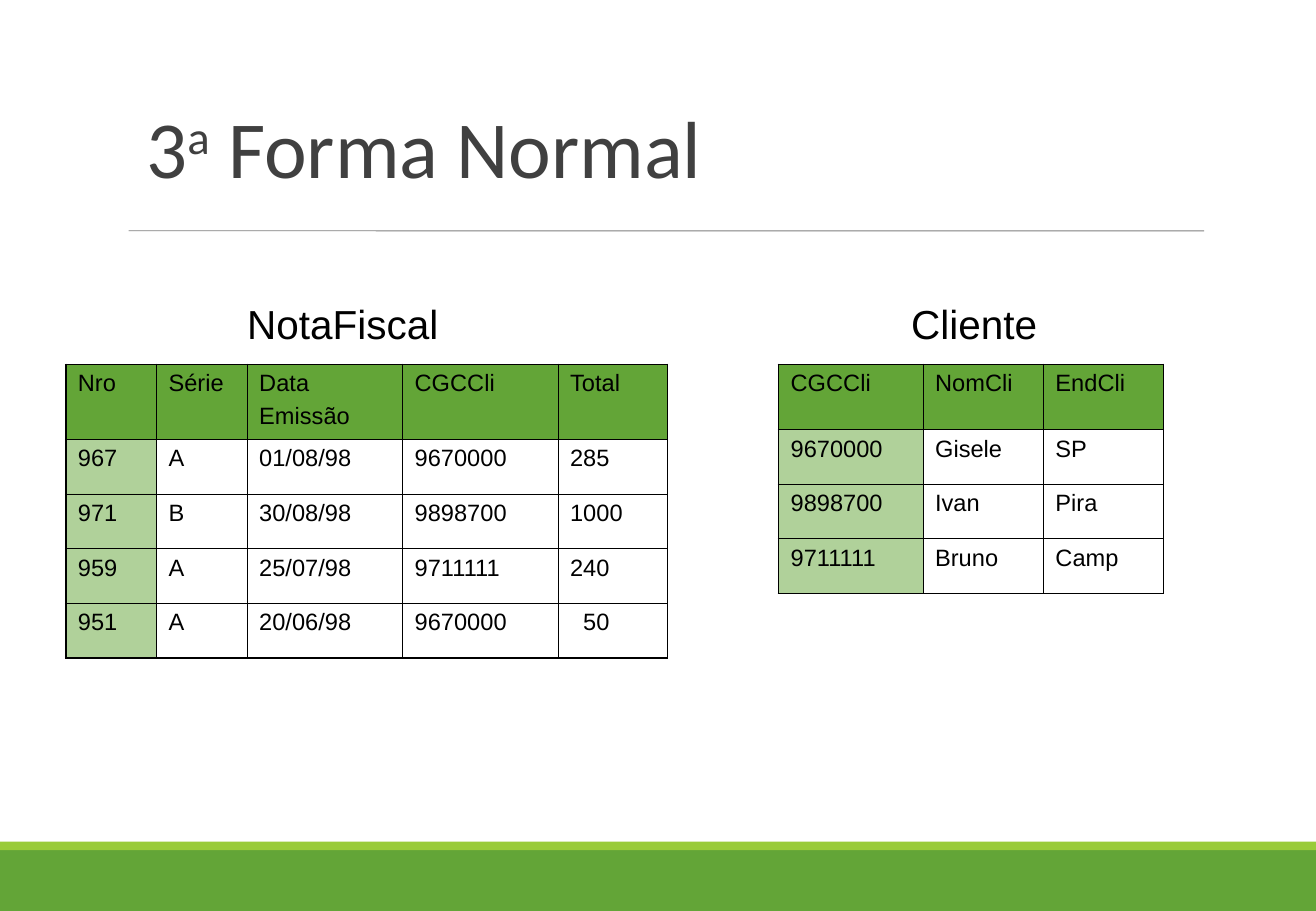
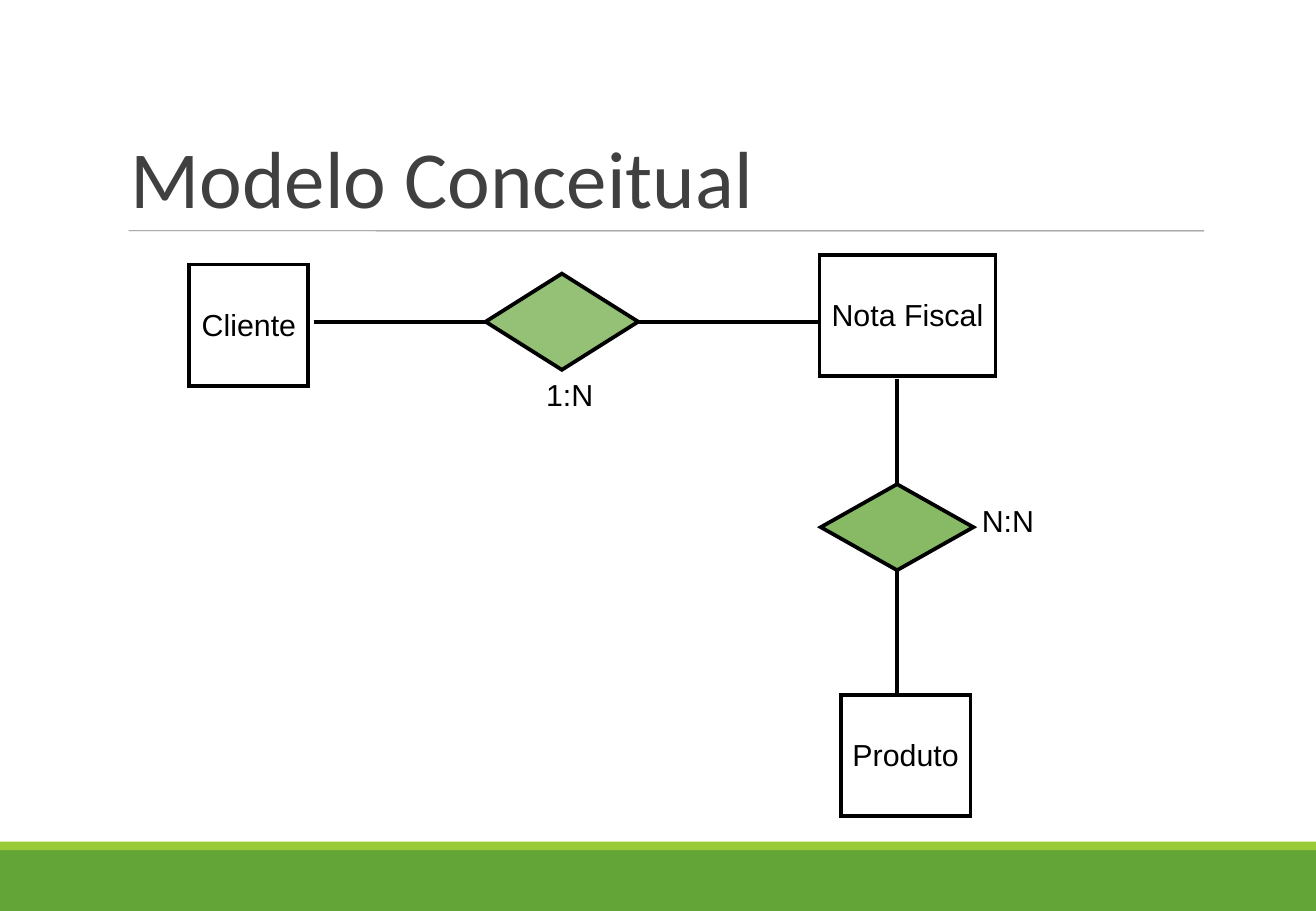
from pptx import Presentation
from pptx import util as u
from pptx.dml.color import RGBColor
from pptx.enum import shapes, text
from pptx.oxml import ns
from lxml import etree

Pt = u.Pt
WIDE, HIGH = 780.48, 540
HUES = {"green": "63A537", "lime": "99CB38", "rule": "7F7F7F",
        "title": "404040", "ink": "000000"}
THICK, THIN = 1.08, 0.45

BILLS = [
    ["Nro", "Série", "Data\nEmissão", "CGCCli", "Total"],
    ["967", "A", "01/08/98", "9670000", "285"],
    ["971", "B", "30/08/98", "9898700", "1000"],
    ["959", "A", "25/07/98", "9711111", "240"],
    ["951", "A", "20/06/98", "9670000", "50"],
]
CLIENTS = [
    ["CGCCli", "NomCli", "EndCli"],
    ["9670000", "Gisele", "SP"],
    ["9898700", "Ivan", "Pira"],
    ["9711111", "Bruno", "Camp"],
]


def tint(name):
    return RGBColor.from_string(HUES[name])


def style(font, size, name="ink", face="Arial"):
    font.size, font.name = Pt(size), face
    font.color.rgb = tint(name)


def paint(fill, node, name, alpha=100):
    fill.solid()
    fill.fore_color.rgb = tint(name)
    if alpha < 100:
        color = node.find(ns.qn("a:solidFill"))[0]
        etree.SubElement(color, ns.qn("a:alpha"), val=str(alpha * 1000))


def shape(slide, kind, box, fill=None, alpha=100, line=0):
    item = slide.shapes.add_shape(kind, *map(Pt, box))
    item.shadow.inherit = False
    if fill:
        paint(item.fill, item._element.spPr, fill, alpha)
    else:
        item.fill.background()
    if line:
        item.line.color.rgb, item.line.width = tint("ink"), Pt(line)
        edge = item._element.spPr.find(ns.qn("a:ln"))
        etree.SubElement(edge, ns.qn("a:miter"), lim="800000")
    else:
        item.line.fill.background()
    return item


def link(slide, ends, name="ink", width=2.25):
    line = slide.shapes.add_connector(
        shapes.MSO_CONNECTOR.STRAIGHT, *map(Pt, ends))
    line.line.color.rgb, line.line.width = tint(name), Pt(width)
    etree.SubElement(line._element.spPr, ns.qn("a:effectLst"))


def write(frame, words, size, wrap=False):
    frame.word_wrap = wrap
    frame.vertical_anchor = text.MSO_ANCHOR.TOP
    para = frame.paragraphs[0]
    para.text, para.alignment = words, text.PP_ALIGN.CENTER
    style(para.font, size)


def label(slide, box, words, size):
    item = slide.shapes.add_textbox(*map(Pt, box))
    write(item.text_frame, words, size, True)


def start(deck, box, parts):
    slide = deck.slides.add_slide(deck.slide_layouts[5])
    rect = shapes.MSO_SHAPE.RECTANGLE
    shape(slide, rect, (0, 504, WIDE, 36), "green")
    shape(slide, rect, (0, 498.8, WIDE, 5.2), "lime")
    link(slide, (76.3, 136.8, 714.2, 136.9), "rule", 0.5)
    title = slide.shapes.title
    title.left, title.top, title.width, title.height = map(Pt, box)
    frame = title.text_frame
    frame.word_wrap = True
    frame.auto_size = text.MSO_AUTO_SIZE.NONE
    frame.vertical_anchor = text.MSO_ANCHOR.BOTTOM
    para = frame.paragraphs[0]
    para.alignment, para.line_spacing = text.PP_ALIGN.LEFT, 0.85
    style(para.font, 48, "title", "Calibri")
    for words, raised in parts:
        run = para.add_run()
        run.text = words
        if raised:
            run._r.get_or_add_rPr().set("baseline", "30000")
    return slide


def border(cell, sides):
    props = cell._tc.get_or_add_tcPr()
    for side, width in sides.items():
        line = etree.SubElement(props, ns.qn("a:ln" + side), w=str(Pt(width)))
        fill = etree.SubElement(line, ns.qn("a:solidFill"))
        etree.SubElement(fill, ns.qn("a:srgbClr"), val=HUES["ink"])


def grid(slide, left, top, cols, head, rows):
    depth, span = len(rows), len(cols)
    tall = [head] + [32.4] * (depth - 1)
    table = slide.shapes.add_table(
        depth, span, *map(Pt, (left, top, sum(cols), sum(tall)))).table
    for col, width in zip(table.columns, cols):
        col.width = Pt(width)
    for row, height in zip(table.rows, tall):
        row.height = Pt(height)
    for r, row in enumerate(rows):
        for c, words in enumerate(row):
            cell = table.cell(r, c)
            edges = {"L": c == 0, "R": c == span - 1,
                     "T": r == 0, "B": r == depth - 1}
            border(cell, {k: THICK if v else THIN for k, v in edges.items()})
            if r == 0 or c == 0:
                paint(cell.fill, cell._tc.tcPr, "green", 50 if r else 100)
            else:
                cell.fill.background()
            cell.text = words
            for para in cell.text_frame.paragraphs:
                para.space_before = Pt(3.5)
                style(para.font, 14)
    return table


def normal(deck):
    slide = start(deck, (79.6, 7.5, 610.6, 111.6),
                  [("3", False), ("a", True), (" Forma Normal", False)])
    bills = grid(slide, 39, 216, (53.8, 53.8, 92.2, 92.2, 65), 44.4, BILLS)
    bills.cell(4, 4).margin_left = Pt(15)
    grid(slide, 461.7, 216, (85.7, 71.4, 71.4), 38.6, CLIENTS)
    for left, words in ((486.7, "Cliente"), (112.3, "NotaFiscal")):
        label(slide, (left, 173.5, 182, 36), words, 24)


def model(slide, left, top):
    def place(x, y, *size):
        return (left + x, top + y, *size)

    for x, y, width, words in ((0.3, 5.8, 70.6, "Cliente"),
                               (374, 0, 104.4, "Nota Fiscal"),
                               (386.6, 260.8, 77, "Produto")):
        item = shape(slide, shapes.MSO_SHAPE.RECTANGLE,
                     place(x, y, width, 72), line=2.25)
        write(item.text_frame, words, 18)
        item.text_frame.margin_top = Pt(24.8)
    for x, y, height, alpha in ((176, 11.2, 57, 68), (374.8, 136, 51, 76)):
        shape(slide, shapes.MSO_SHAPE.DIAMOND, place(x, y, 90.5, height),
              "green", alpha, 2.25)
    for x, y, across, down in ((74, 39.7, 102, 0), (266.5, 39.7, 107.5, 0),
                               (420, 73.5, 0, 62.5), (420, 187, 0, 74)):
        link(slide, place(x, y, left + x + across, top + y + down))
    for x, y, words in ((455.8, 143, "N:N"), (195.8, 68.2, "1:N")):
        label(slide, place(x, y, 60, 29), words, 18)


def concept(deck):
    slide = start(deck, (70.3, 22.3, 643.7, 114.5),
                  [("Modelo Conceitual", False)])
    model(slide, 112, 151)


def main():
    deck = Presentation()
    deck.slide_width, deck.slide_height = Pt(WIDE), Pt(HIGH)
    normal(deck)
    concept(deck)
    deck.save("out.pptx")


if __name__ == "__main__":
    main()
